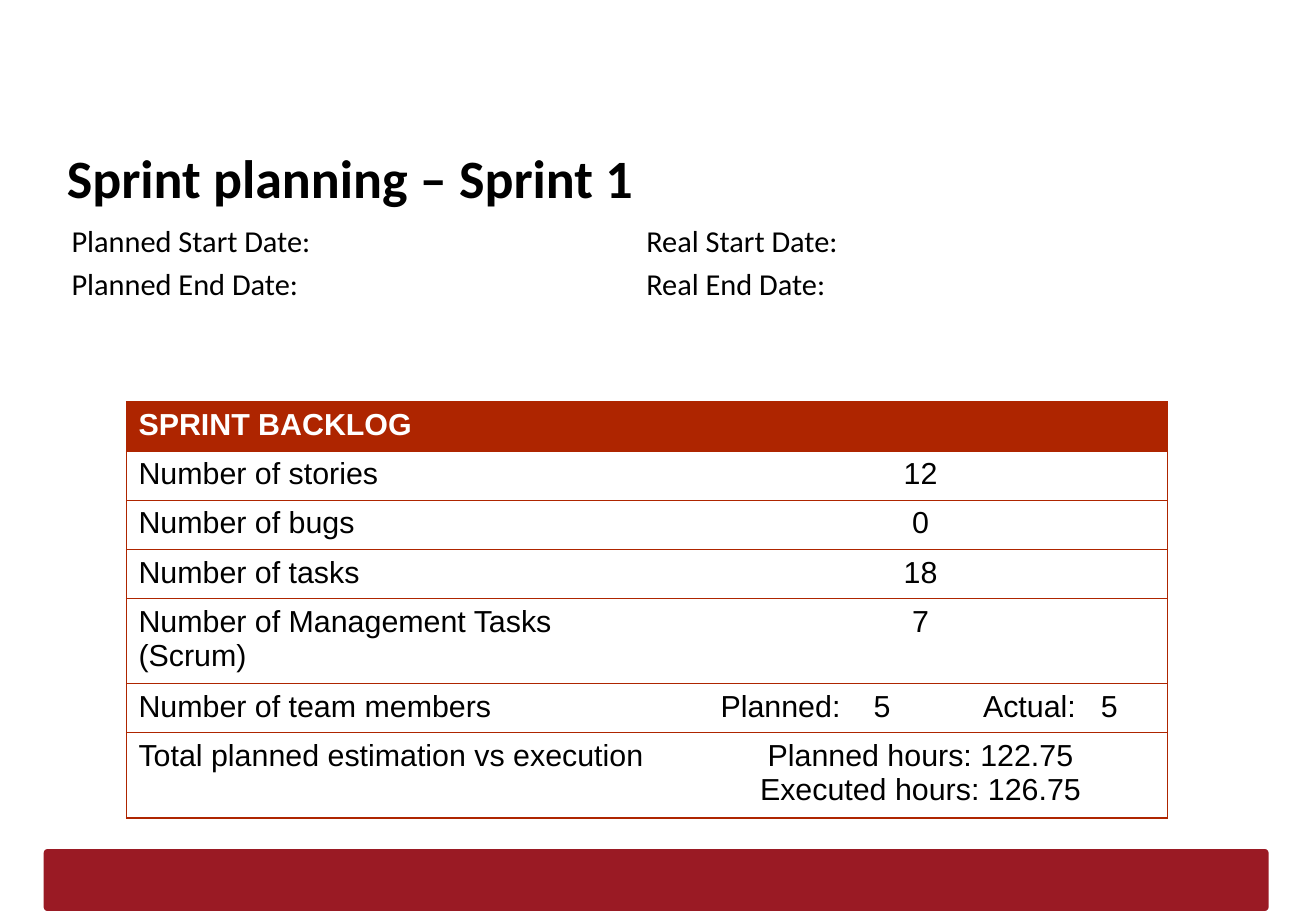
"""Build the sprint planning slide with its backlog table."""
from lxml.etree import SubElement
from pptx import Presentation
from pptx.dml.color import RGBColor
from pptx.enum.shapes import MSO_SHAPE
from pptx.enum.text import MSO_ANCHOR, PP_ALIGN
from pptx.oxml import parse_xml
from pptx.oxml.ns import nsdecls, qn
from pptx.util import Inches, Pt

RUST = "AE2500"
HEADER_ROW, TEAM_ROW = 0, 5


def color(hex_code):
    return RGBColor.from_string(hex_code)


def write(tf, text, size=18, font="Arial", fill="000000", bold=False,
          align=PP_ALIGN.LEFT, after=0, tabs=()):
    for i, line in enumerate(text.split("\n")):
        p = tf.add_paragraph() if i else tf.paragraphs[0]
        if tabs:
            stops = SubElement(p._p.get_or_add_pPr(), qn("a:tabLst"))
            for pos in tabs:
                SubElement(stops, qn("a:tab"), pos=str(Inches(pos)), algn="l")
        p.alignment = align
        p.space_before, p.space_after = Pt(0), Pt(after)
        r = p.add_run()
        r.text = line
        r.font.size, r.font.name, r.font.bold = Pt(size), font, bold
        r.font.color.rgb = color(fill)


prs = Presentation()
prs.slide_width, prs.slide_height = Inches(10.83), Inches(7.5)
s = prs.slides.add_slide(prs.slide_layouts[5])

bar = s.shapes.add_shape(MSO_SHAPE.ROUNDED_RECTANGLE, Inches(0.36), Inches(6.99),
                         Inches(10.08), Inches(0.51))
bar.adjustments[0] = 0.06
bar.shadow.inherit = False
bar.fill.solid()
bar.fill.fore_color.rgb = color("9A1A24")
bar.line.fill.background()

title = s.shapes.title
title.left, title.top = Inches(0.45), Inches(1.09)
title.width, title.height = Inches(9.89), Inches(0.63)
tf = title.text_frame
tf.margin_left = tf.margin_right = tf.margin_top = tf.margin_bottom = Inches(0.1)
tf.vertical_anchor = MSO_ANCHOR.TOP
write(tf, "Sprint planning – Sprint 1", size=32, font="Calibri", bold=True)

dates = s.shapes.add_textbox(Inches(0.49), Inches(1.78), Inches(9.89), Inches(0.78))
dates.text_frame.word_wrap = True
write(dates.text_frame,
      "Planned Start Date:\tReal Start Date:\nPlanned End Date:\tReal End Date:",
      font="Calibri", after=4, tabs=[4.73])

backlog = [
    ("SPRINT BACKLOG", ""),
    ("Number of stories", "12"),
    ("Number of bugs", "0"),
    ("Number of tasks", "18"),
    ("Number of Management Tasks (Scrum)", "7"),
    ("Number of team members", "Planned:\t5\tActual:\t5"),
    ("Total planned estimation vs execution",
     "Planned hours: 122.75\nExecuted hours: 126.75"),
]
tbl = s.shapes.add_table(len(backlog), 2, Inches(1.04), Inches(3.31),
                         Inches(8.57), Inches(0.41 * len(backlog))).table
tbl.first_row = tbl.horz_banding = False
tbl.columns[0].width, tbl.columns[1].width = Inches(4.5), Inches(4.07)

for i, row in enumerate(backlog):
    tbl.rows[i].height = Inches(0.405)
    header = i == HEADER_ROW
    for j, text in enumerate(row):
        cell = tbl.cell(i, j)
        cell.fill.solid()
        cell.fill.fore_color.rgb = color(RUST if header else "FFFFFF")
        if i == TEAM_ROW and j == 1:
            cell.margin_left = Inches(0.39)
            fmt = {"tabs": [1.26, 2.16, 3.13]}
        else:
            fmt = {"align": PP_ALIGN.CENTER if j else PP_ALIGN.LEFT}
        write(cell.text_frame, text, fill="FFFFFF" if header else "000000",
              bold=header, **fmt)
        inner_side = "R" if j == 0 else "L"
        for k, side in enumerate("LRTB"):
            paint = ("<a:noFill/>" if side == inner_side else
                     f'<a:solidFill><a:srgbClr val="{RUST}"/></a:solidFill>')
            cell._tc.get_or_add_tcPr().insert(k, parse_xml(
                f'<a:ln{side} {nsdecls("a")} w="{Pt(0.75)}">{paint}</a:ln{side}>'))

prs.save("out.pptx")
